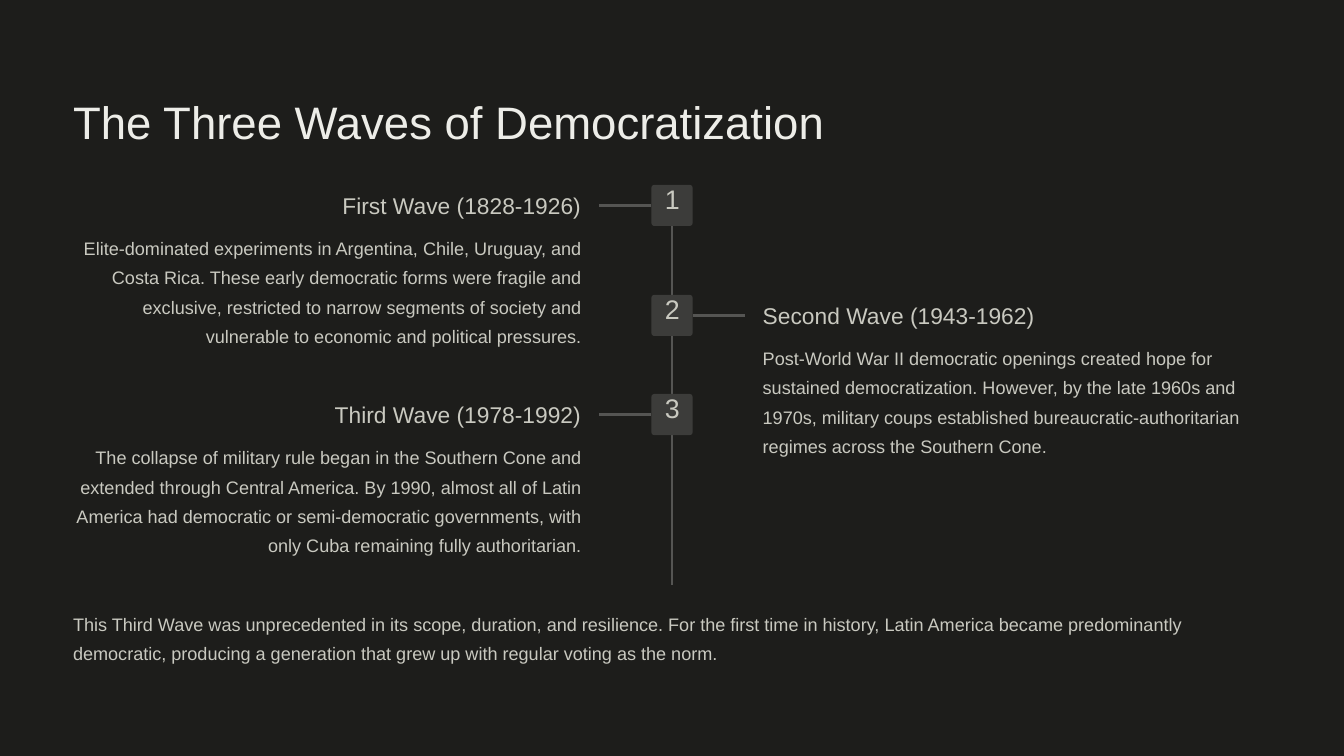
from pptx import Presentation
from pptx.dml.color import RGBColor
from pptx.enum.shapes import MSO_CONNECTOR, MSO_SHAPE
from pptx.enum.text import PP_ALIGN
from pptx.oxml.ns import qn
from pptx.util import Inches, Pt
from lxml.etree import SubElement

COLORS = {"back": "1D1D1B", "title": "EDEDE8", "text": "C9C9C0",
          "badge": "3C3C3A", "line": "555553"}
STYLES = {
    "title": {"size": Pt(39), "name": "Arial"},
    "badge": {"size": Pt(23), "name": "Arial"},
    "head": {"size": Pt(19.5), "name": "Arial"},
    "body": {"size": Pt(15.5), "name": "Arial"},
}
SPACING = {"title": 48.5, "badge": 23, "head": 24, "body": 25}

deck = Presentation()
deck.slide_width, deck.slide_height = Inches(16), Inches(9)
slide = deck.slides.add_slide(deck.slide_layouts[6])
slide.background.fill.solid()
slide.background.fill.fore_color.rgb = RGBColor.from_string(COLORS["back"])


def add_text(text, style, left, top, width, height, align=PP_ALIGN.LEFT):
    box = slide.shapes.add_textbox(
        Inches(left), Inches(top), Inches(width), Inches(height))
    frame = box.text_frame
    margins = ("margin_left", "margin_top", "margin_right", "margin_bottom")
    for side in margins:
        setattr(frame, side, 0)
    frame.word_wrap = style == "body"
    para = frame.paragraphs[0]
    para.alignment = align
    para.line_spacing = Pt(SPACING[style])
    run = para.add_run()
    run.text = text
    for key, value in STYLES[style].items():
        setattr(run.font, key, value)
    tone = "title" if style == "title" else "text"
    run.font.color.rgb = RGBColor.from_string(COLORS[tone])


def add_line(x1, y1, x2, y2):
    line = slide.shapes.add_connector(
        MSO_CONNECTOR.STRAIGHT, Inches(x1), Inches(y1), Inches(x2), Inches(y2))
    line.line.color.rgb = RGBColor.from_string(COLORS["line"])
    line.line.width = Pt(2)
    SubElement(line.element.spPr, qn("a:effectLst"))
    return line


# Title
add_text("The Three Waves of Democratization", "title", 0.87, 1.09, 10, 0.68)

# Timeline: spine, then a badge, branch and text for each wave
MID, BADGE, REACH = 8, 0.49, 0.87
EDGE, WIDE = 0.87, 6.05
add_line(MID, 2.2, MID, 6.97)

waves = [
    (2.2, "left", 3.2, 1.39, "First Wave (1828-1926)",
     "Elite-dominated experiments in Argentina, Chile, Uruguay, and Costa "
     "Rica. These early democratic forms were fragile and exclusive, "
     "restricted to narrow segments of society and vulnerable to economic "
     "and political pressures."),
    (3.51, "right", 3.62, 1.39, "Second Wave (1943-1962)",
     "Post-World War II democratic openings created hope for sustained "
     "democratization. However, by the late 1960s and 1970s, military coups "
     "established bureaucratic-authoritarian regimes across the Southern "
     "Cone."),
    (4.69, "left", 3.26, 1.74, "Third Wave (1978-1992)",
     "The collapse of military rule began in the Southern Cone and extended "
     "through Central America. By 1990, almost all of Latin America had "
     "democratic or semi-democratic governments, with only Cuba remaining "
     "fully authoritarian."),
]
for number, (top, side, width, height, head, body) in enumerate(waves, 1):
    badge = slide.shapes.add_shape(
        MSO_SHAPE.ROUNDED_RECTANGLE, Inches(MID - BADGE / 2), Inches(top),
        Inches(BADGE), Inches(BADGE))
    badge.adjustments[0] = 0.07
    badge.shadow.inherit = False
    badge.fill.solid()
    badge.fill.fore_color.rgb = RGBColor.from_string(COLORS["badge"])
    badge.line.fill.background()
    add_text(str(number), "badge", MID - 0.16, top + 0.04, 0.33, 0.41,
             PP_ALIGN.CENTER)

    on_left = side == "left"
    sign = -1 if on_left else 1
    level = top + BADGE / 2
    branch = add_line(MID + sign * BADGE / 2, level, MID + sign * REACH, level)
    branch.begin_connect(badge, 1 if on_left else 3)

    align = PP_ALIGN.RIGHT if on_left else PP_ALIGN.LEFT
    start = EDGE if on_left else 16 - EDGE - WIDE
    indent = WIDE - width if on_left else 0
    add_text(head, "head", start + indent, top + 0.07, width, 0.34, align)
    add_text(body, "body", start, top + 0.54, WIDE, height, align)

# Closing note
add_text("This Third Wave was unprecedented in its scope, duration, and "
         "resilience. For the first time in history, Latin America became "
         "predominantly democratic, producing a generation that grew up with "
         "regular voting as the norm.", "body", EDGE, 7.21, 14.26, 0.69)

deck.save("out.pptx")
